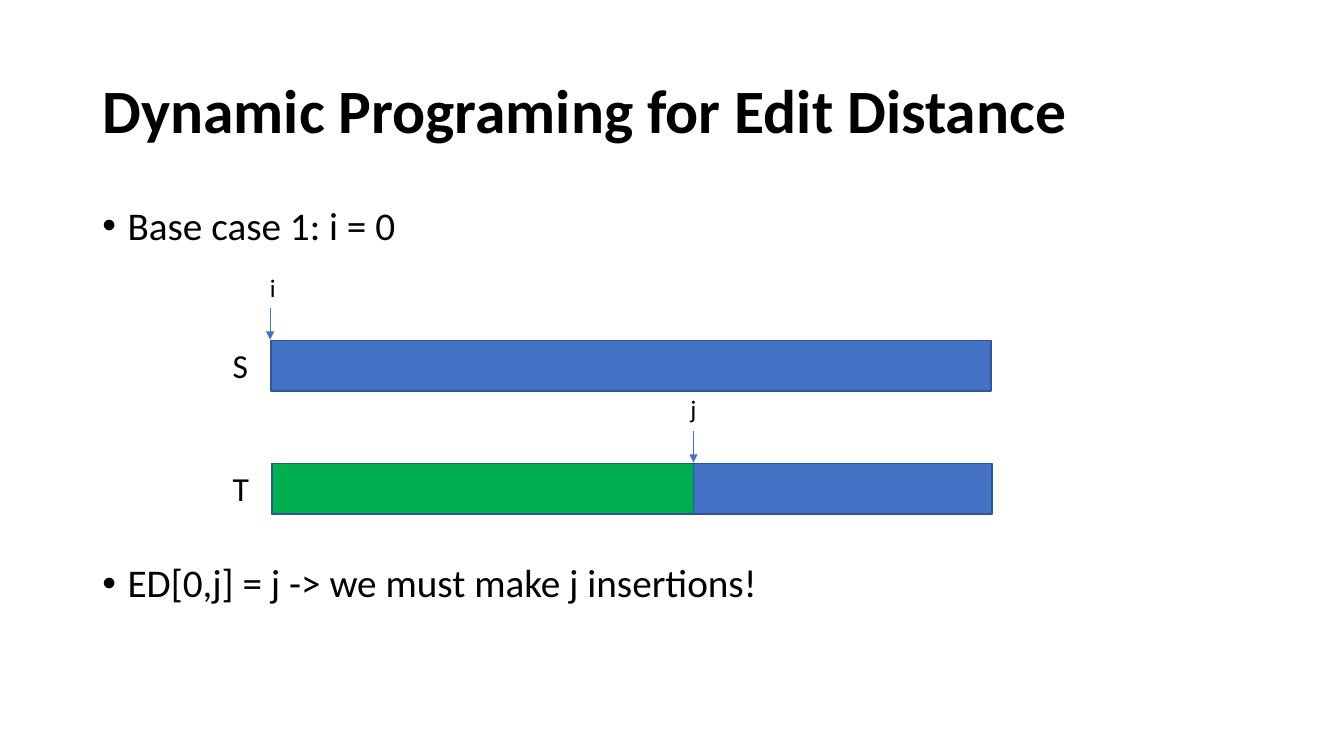
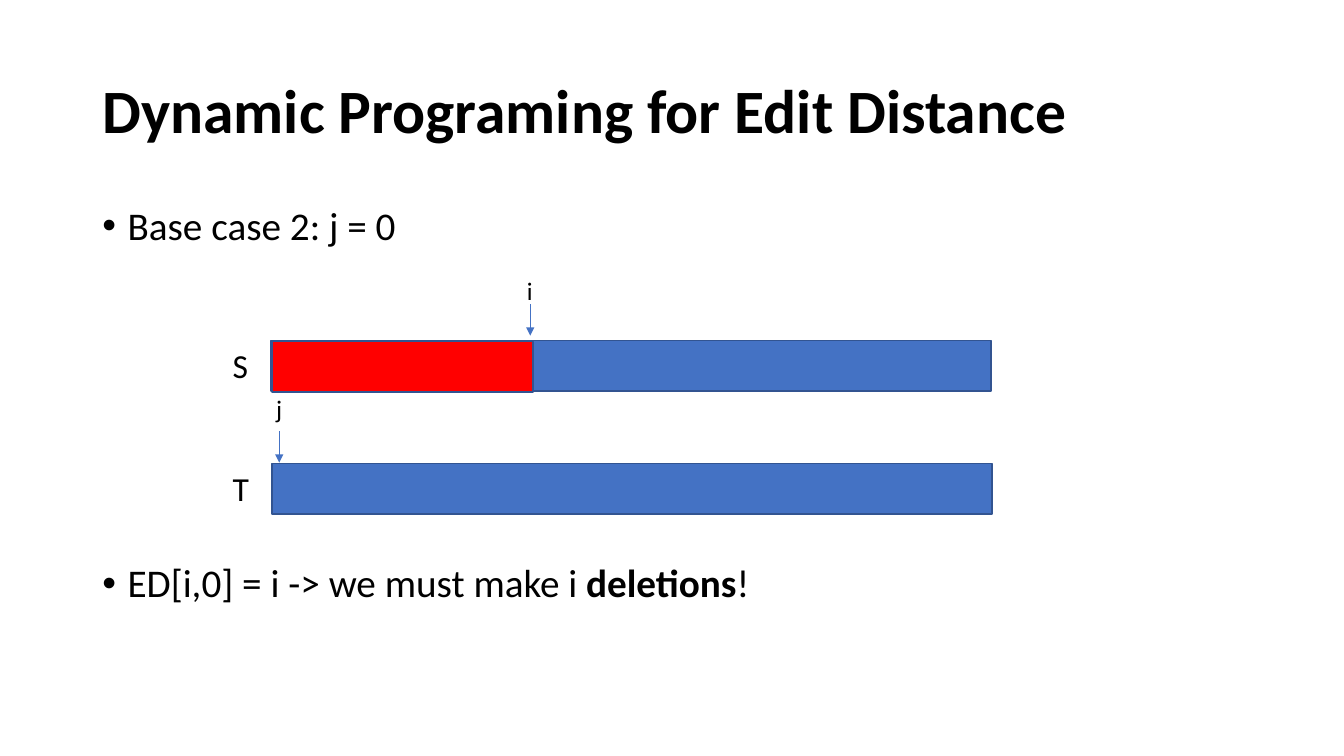
from dataclasses import dataclass

from lxml import etree
from pptx import Presentation
from pptx.dml.color import RGBColor
from pptx.enum.shapes import MSO_CONNECTOR, MSO_SHAPE
from pptx.enum.text import MSO_ANCHOR, MSO_AUTO_SIZE, PP_ALIGN
from pptx.oxml.ns import qn
from pptx.util import Inches, Pt

RECTANGLE = MSO_SHAPE.RECTANGLE
STRAIGHT = MSO_CONNECTOR.STRAIGHT
MIDDLE = MSO_ANCHOR.MIDDLE
LEFT = PP_ALIGN.LEFT
NO_FIT, GROW = MSO_AUTO_SIZE.NONE, MSO_AUTO_SIZE.SHAPE_TO_FIT_TEXT


@dataclass(frozen=True)
class Theme:
    font: str = "Calibri"
    ink: RGBColor = RGBColor(0x00, 0x00, 0x00)
    bar: RGBColor = RGBColor(0x44, 0x72, 0xC4)
    outline: RGBColor = RGBColor(0x32, 0x54, 0x91)
    inserted: RGBColor = RGBColor(0x00, 0xB0, 0x50)
    deleted: RGBColor = RGBColor(0xFF, 0x00, 0x00)
    title_size: int = 44
    body_size: int = 28
    string_size: int = 24
    index_size: int = 18
    bar_line: float = 1
    arrow_line: float = 0.5


theme = Theme()
deck = Presentation()
deck.slide_width, deck.slide_height = Inches(13.33), Inches(7.5)
COLUMN = deck.slide_width / 40
ROW = deck.slide_height / 30


def grid(*cells):
    """Turn alternating column and row counts into slide lengths."""
    return [round(cell * (ROW if n % 2 else COLUMN)) for n, cell in enumerate(cells)]


def style(font, size, bold=False):
    font.name, font.size, font.bold = theme.font, Pt(size), bold
    font.color.rgb = theme.ink


TITLE = "Dynamic Programing for Edit Distance"
TITLE_AREA = grid(2.75, 1.6, 34.5, 5.8)
BODY_AREA = grid(2.75, 8, 34.5, 20.96)
BULLET_INDENT = Inches(0.25)
DIAGRAM_GAP = Pt(225)  # room between the two bullets for the diagram

BAR_WIDTH, BAR_HEIGHT = 21.42, 2
STRINGS = [("S", 8.07, 13.52), ("T", 8.1, 18.4)]  # name, column, row
STRING_COLUMN = 6.63
ARROW_LENGTH = 1.24

# prefix: column, row, width, fill
# indices: name, name column, name row, arrow column, arrow row
CASES = [
    {
        "bullets": [[("Base case 1: i = 0", False)],
                    [("ED[0,j] = j -> we must make j insertions!", False)]],
        "prefix": (8.1, 18.4, 12.54, theme.inserted),
        "indices": [("i", 7.74, 10.6, 8.04, 12.24), ("j", 20.25, 15.4, 20.64, 17.12)],
    },
    {
        "bullets": [[("Base case 2: j = 0", False)],
                    [("ED[i,0] = i -> we must make i", False), (" deletions", True), ("!", False)]],
        "prefix": (8.1, 13.56, 7.77, theme.deleted),
        "indices": [("i", 15.39, 10.72, 15.78, 12.08), ("j", 7.92, 15.4, 8.31, 17.12)],
    },
]

for case in CASES:
    page = deck.slides.add_slide(deck.slide_layouts[5])

    title = page.shapes.title
    title.left, title.top, title.width, title.height = TITLE_AREA
    frame = title.text_frame
    frame.text = TITLE
    frame.auto_size, frame.vertical_anchor = NO_FIT, MIDDLE
    para = frame.paragraphs[0]
    para.alignment, para.line_spacing = LEFT, 0.9
    style(para.runs[0].font, theme.title_size, bold=True)

    frame = page.shapes.add_textbox(*BODY_AREA).text_frame
    frame.word_wrap = True
    for number, spans in enumerate(case["bullets"]):
        para = frame.add_paragraph() if number else frame.paragraphs[0]
        properties = para._p.get_or_add_pPr()
        properties.set("marL", str(BULLET_INDENT))
        properties.set("indent", str(-BULLET_INDENT))
        etree.SubElement(properties, qn("a:buFont"), typeface="Arial")
        etree.SubElement(properties, qn("a:buChar"), char="•")
        para.line_spacing = 0.9
        if number:
            para.space_before = DIAGRAM_GAP
        for text, bold in spans:
            span = para.add_run()
            span.text = text
            style(span.font, theme.body_size, bold)

    bars = [(column, row, BAR_WIDTH, theme.bar) for name, column, row in STRINGS]
    for column, row, width, fill in bars + [case["prefix"]]:
        bar = page.shapes.add_shape(RECTANGLE, *grid(column, row, width, BAR_HEIGHT))
        bar.shadow.inherit = False
        bar.fill.solid()
        bar.fill.fore_color.rgb = fill
        bar.line.color.rgb = theme.outline
        bar.line.width = Pt(theme.bar_line)

    labels = [(name, STRING_COLUMN, row - 0.04, 1.1, 2, theme.string_size)
              for name, column, row in STRINGS]
    labels += [(name, column, row, 0.78, 1.6, theme.index_size)
               for name, column, row, *arrow in case["indices"]]
    for text, column, row, width, height, size in labels:
        frame = page.shapes.add_textbox(*grid(column, row, width, height)).text_frame
        frame.text = text
        frame.word_wrap, frame.auto_size = False, GROW
        style(frame.paragraphs[0].runs[0].font, size)

    for *label, column, row in case["indices"]:
        arrow = page.shapes.add_connector(
            STRAIGHT, *grid(column, row, column, row + ARROW_LENGTH))
        arrow.line.color.rgb = theme.bar
        arrow.line.width = Pt(theme.arrow_line)
        etree.SubElement(arrow.line._get_or_add_ln(), qn("a:tailEnd"), type="triangle")
        etree.SubElement(arrow._element.spPr, qn("a:effectLst"))

deck.save("out.pptx")
